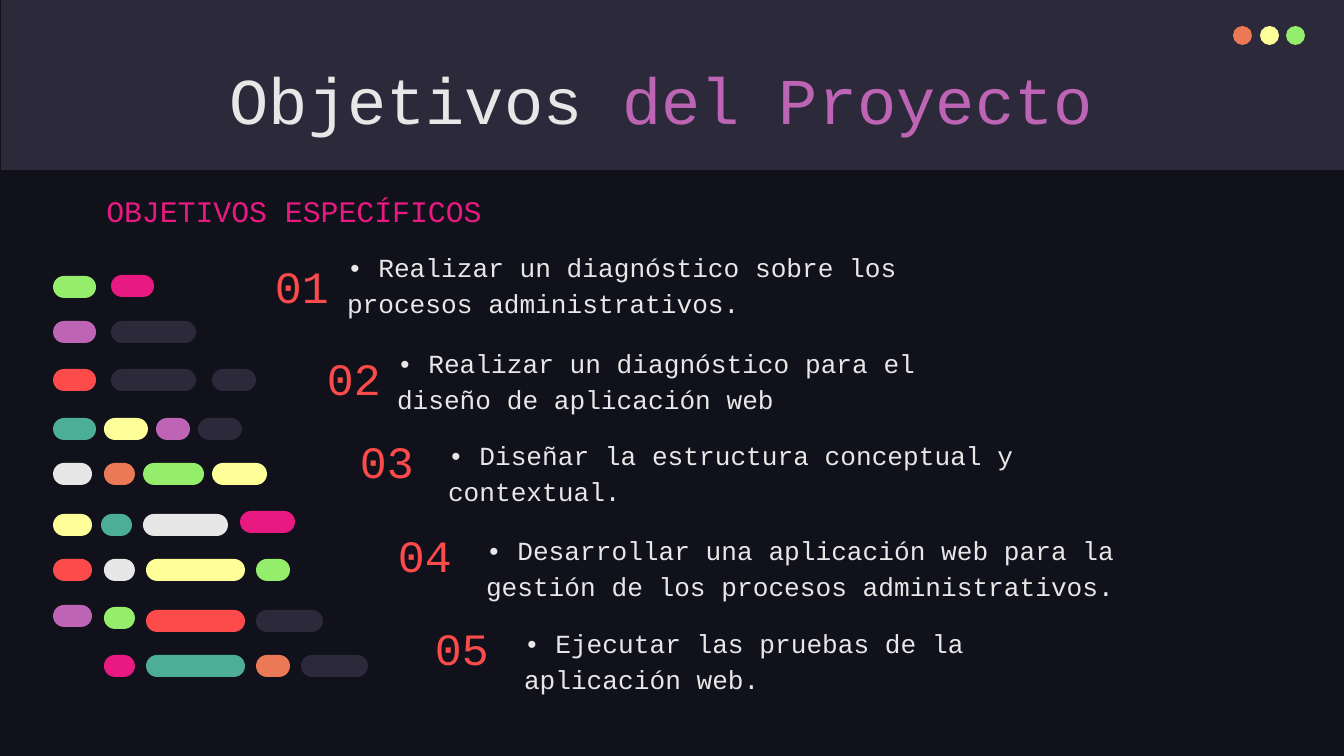
from dataclasses import dataclass

from pptx import Presentation
from pptx.dml.color import RGBColor
from pptx.enum.shapes import MSO_SHAPE
from pptx.enum.text import MSO_ANCHOR, PP_ALIGN
from pptx.util import Pt

RECT, OVAL, ROUND = MSO_SHAPE.RECTANGLE, MSO_SHAPE.OVAL, MSO_SHAPE.ROUNDED_RECTANGLE
TOP, MIDDLE, BOTTOM = MSO_ANCHOR.TOP, MSO_ANCHOR.MIDDLE, MSO_ANCHOR.BOTTOM
LEFT, CENTER = PP_ALIGN.LEFT, PP_ALIGN.CENTER

WIDE, HIGH = 1344, 756
SCALE = 9144000 / WIDE


@dataclass(frozen=True)
class Theme:
    font: str = "Courier New"
    back: str = "10111A"
    panel: str = "2C293A"
    white: str = "E7E7E7"
    pink: str = "E81A81"
    purple: str = "BD64B5"
    red: str = "FD4A4A"
    orange: str = "EC7955"
    yellow: str = "FFFF99"
    green: str = "94EE6B"
    teal: str = "4CAE97"
    title: int = 35
    number: int = 24
    head: int = 16
    body: int = 14


def px(*values):
    return [round(v * SCALE) for v in values]


def put(target, values):
    for name, value in values.items():
        setattr(target, name, value)


class Painter:
    def __init__(self, slide, theme):
        self.slide, self.theme = slide, theme

    def paint(self, fill, name):
        fill.solid()
        fill.fore_color.rgb = RGBColor.from_string(getattr(self.theme, name))

    def shape(self, kind, box, color):
        item = self.slide.shapes.add_shape(kind, *px(*box))
        item.shadow.inherit = False
        item.line.fill.background()
        self.paint(item.fill, color)
        return item

    def pill(self, box, color):
        self.shape(ROUND, box, color).adjustments[0] = 0.5

    def text(self, box, runs, size, anchor=TOP, align=LEFT, spacing=1.0):
        """Add a text box; runs are pairs of wording and colour name."""
        frame = self.slide.shapes.add_textbox(*px(*box)).text_frame
        pad = px(13)[0]
        put(frame, {"word_wrap": True, "vertical_anchor": anchor,
                    "margin_left": pad, "margin_right": pad,
                    "margin_top": pad, "margin_bottom": pad})
        para = frame.paragraphs[0]
        put(para, {"alignment": align, "line_spacing": spacing})
        for words, color in runs:
            run = para.add_run()
            run.text = words
            put(run.font, {"name": self.theme.font,
                           "size": Pt(getattr(self.theme, size))})
            self.paint(run.font.fill, color)


DOTS = [(1233, "orange"), (1260, "yellow"), (1286, "green")]

# Row top, then pills: left, width, colour, shift down from the row top
PILLS = [
    (276, [(53, 43, "green", 0), (111, 43, "pink", -1)]),
    (321, [(53, 43, "purple", 0), (111, 85, "panel", 0)]),
    (369, [(53, 43, "red", 0), (111, 85, "panel", 0), (212, 44, "panel", 0)]),
    (418, [(53, 43, "teal", 0), (104, 44, "yellow", 0),
           (156, 34, "purple", 0), (198, 44, "panel", 0)]),
    (463, [(53, 39, "white", 0), (104, 31, "orange", 0),
           (143, 61, "green", 0), (212, 55, "yellow", 0)]),
    (514, [(53, 39, "yellow", 0), (101, 31, "teal", 0),
           (143, 85, "white", 0), (240, 55, "pink", -3)]),
    (559, [(53, 39, "red", 0), (104, 31, "white", 0),
           (146, 99, "yellow", 0), (256, 34, "green", 0)]),
    (605, [(53, 39, "purple", 0), (104, 31, "green", 2),
           (146, 99, "red", 5), (256, 67, "panel", 5)]),
    (655, [(104, 31, "pink", 0), (146, 99, "teal", 0),
           (256, 34, "orange", 0), (301, 67, "panel", 0)]),
]

# Number box: left, top, height; text box: left, top, width; wording
GOALS = [
    ((262, 257, 58), (334, 234, 618),
     "Realizar un diagnóstico sobre los procesos administrativos."),
    ((314, 349, 58), (384, 330, 618),
     "Realizar un diagnóstico para el diseño de aplicación web"),
    ((347, 437, 48), (435, 422, 618),
     "Diseñar la estructura conceptual y contextual."),
    ((385, 531, 48), (473, 517, 755),
     "Desarrollar una aplicación web para la gestión de los procesos administrativos."),
    ((422, 624, 48), (511, 610, 618),
     "Ejecutar las pruebas de la aplicación web."),
]


def main():
    deck = Presentation()
    deck.slide_width, deck.slide_height = px(WIDE, HIGH)
    slide = deck.slides.add_slide(deck.slide_layouts[6])
    art = Painter(slide, Theme())
    art.paint(slide.background.fill, "back")

    art.shape(RECT, (1, 0, WIDE - 1, 170), "panel")
    for left, color in DOTS:
        art.shape(OVAL, (left, 26, 19, 19), color)
    art.text((95, 46, 1133, 85),
             [("Objetivos ", "white"), ("del Proyecto", "purple")],
             "title", align=CENTER)
    art.text((-15, 171, 618, 71), [("OBJETIVOS ESPECÍFICOS", "pink")],
             "head", BOTTOM, CENTER, 1.15)

    for top, row in PILLS:
        for left, width, color, shift in row:
            art.pill((left, top + shift, width, 22), color)

    for index, (mark, place, words) in enumerate(GOALS, 1):
        left, top, height = mark
        art.text((left, top, 89, height), [(f"{index:02}", "red")], "number", MIDDLE)
        art.text((*place, 85), [("• " + words, "white")], "body", spacing=1.15)

    deck.save("out.pptx")


if __name__ == "__main__":
    main()
